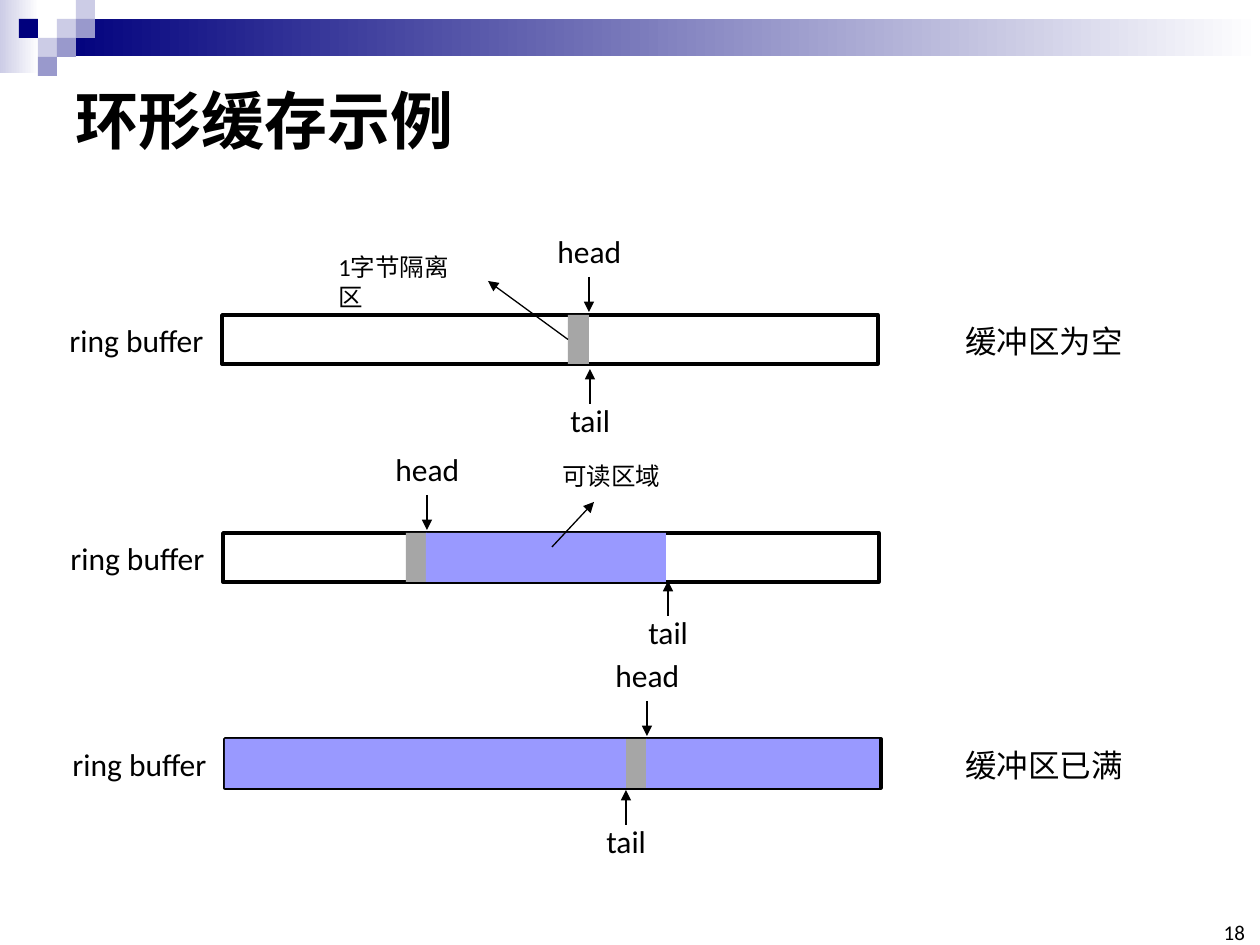
from dataclasses import dataclass

from lxml import etree
from pptx import Presentation
from pptx.dml.color import RGBColor
from pptx.enum.shapes import MSO_CONNECTOR, MSO_SHAPE
from pptx.enum.text import MSO_ANCHOR, MSO_AUTO_SIZE, PP_ALIGN
from pptx.oxml.ns import qn
from pptx.util import Emu, Pt

RECT = MSO_SHAPE.RECTANGLE
STRAIGHT = MSO_CONNECTOR.STRAIGHT
MIDDLE, BOTTOM = MSO_ANCHOR.MIDDLE, MSO_ANCHOR.BOTTOM
LEFT, RIGHT = PP_ALIGN.LEFT, PP_ALIGN.RIGHT
NO_FIT = MSO_AUTO_SIZE.NONE
TITLE_ONLY = 5
PX = 914400 / 126


@dataclass(frozen=True)
class Theme:
    """Colours, font and sizes of the slide."""
    font: str = "Calibri"
    ink: str = "000000"
    white: str = "FFFFFF"
    navy: str = "00007D"
    pale: str = "CCCCE6"
    mid: str = "9999CC"
    guard: str = "A6A6A6"
    readable: str = "9999FF"
    title: int = 36
    label: int = 18
    note: int = 14
    number: int = 12
    outline: float = 2
    arrow: float = 0.75


@dataclass(frozen=True)
class Ring:
    """State of one ring buffer, in px."""
    left: int
    top: int
    guard: int
    tail: int
    tail_gap: int
    readable: tuple = ()
    status: str = ""


T = Theme()
GRID = 19
BAR_W, BAR_H, GUARD_W = 656, 49, 21
ARROW_LEN = 35
RINGS = (
    Ring(222, 315, 568, 590, 54, status="缓冲区为空"),
    Ring(223, 533, 406, 668, 48, ((426, 240),)),
    Ring(225, 739, 626, 626, 51, ((646, 233), (225, 401)), "缓冲区已满"),
)
TILES = (
    (3, 1, T.pale), (4, 0, T.pale), (4, 1, T.mid), (2, 2, T.pale),
    (1, 1, T.navy), (3, 2, T.mid), (2, 3, T.mid),
)


def px(*values):
    """Turn px lengths into EMU."""
    return [Emu(round(v * PX)) for v in values]


def add_run(p, text, size, bold=False):
    """Add one formatted run to a paragraph."""
    r = p.add_run()
    r.text = text
    r.font.name = T.font
    r.font.size = Pt(size)
    r.font.bold = bold
    r.font.color.rgb = RGBColor.from_string(T.ink)


def add_rect(s, box, fill=None, fade=None, line=None):
    """Add a rectangle that is plain, faded to the right, or outlined."""
    sp = s.shapes.add_shape(RECT, *px(*box))
    sp.shadow.inherit = False
    if fade:
        sp.fill.gradient()
        sp.fill.gradient_angle = 0
        for stop, color in zip(sp.fill.gradient_stops, (fill, fade)):
            stop.color.rgb = RGBColor.from_string(color)
    elif fill:
        sp.fill.solid()
        sp.fill.fore_color.rgb = RGBColor.from_string(fill)
    else:
        sp.fill.background()
    if line:
        sp.line.color.rgb = RGBColor.from_string(T.ink)
        sp.line.width = Pt(line)
    else:
        sp.line.fill.background()
    return sp


def add_label(s, box, text, size=T.label, wrap=False):
    """Add a text box with one run."""
    tf = s.shapes.add_textbox(*px(*box)).text_frame
    tf.word_wrap = wrap
    add_run(tf.paragraphs[0], text, size)
    return tf


def add_arrow(s, start, end):
    """Add a thin arrow pointing at its end."""
    c = s.shapes.add_connector(STRAIGHT, *px(*start, *end))
    c.line.color.rgb = RGBColor.from_string(T.ink)
    c.line.width = Pt(T.arrow)
    etree.SubElement(c.line._get_or_add_ln(), qn("a:tailEnd"), type="triangle")
    etree.SubElement(c._element.spPr, qn("a:effectLst"))
    return c


def add_banner(s):
    """Add the faded band and the tiles at the top."""
    add_rect(s, (0, 0, 39, 73), T.pale, T.white)
    add_rect(s, (57, 19, 1203, 37), T.navy, T.white)
    for col, row, color in TILES:
        add_rect(s, (col * GRID, row * GRID, GRID, GRID), color)


def add_title(s, text):
    """Place and format the title placeholder."""
    sp = s.shapes.title
    sp.left, sp.top, sp.width, sp.height = px(63, 63, 1134, 112)
    tf = sp.text_frame
    tf.auto_size = NO_FIT
    tf.vertical_anchor = MIDDLE
    p = tf.paragraphs[0]
    p.alignment = LEFT
    add_run(p, text, T.title, bold=True)


def add_number(s, text):
    """Add the slide number at the lower right."""
    tf = add_label(s, (1216, 924, 29, 21), text, T.number)
    tf.margin_left = tf.margin_right = tf.margin_top = tf.margin_bottom = 0
    tf.vertical_anchor = BOTTOM
    tf.paragraphs[0].alignment = RIGHT


def add_ring(s, ring):
    """Add one buffer with its pointers and return its guard cell."""
    top, head = ring.top, ring.guard + GUARD_W
    tail_tip = top + ring.tail_gap
    tail_end = tail_tip + ARROW_LEN
    add_rect(s, (ring.left, top, BAR_W, BAR_H), line=T.outline)
    add_label(s, (ring.left - 165, top, 160, 50), "ring buffer")
    add_arrow(s, (ring.tail, tail_end), (ring.tail, tail_tip))
    add_arrow(s, (head, top - 3 - ARROW_LEN), (head, top - 3))
    add_label(s, (ring.tail - 32, tail_end - 9, 66, 50), "tail")
    add_label(s, (head - 44, top - 89, 89, 50), "head")
    guard = add_rect(s, (ring.guard, top, GUARD_W, BAR_H), T.guard)
    for left, width in ring.readable:
        add_rect(s, (left, top, width, BAR_H), T.readable)
    if ring.status:
        add_label(s, (953, top + 1, 190, 50), ring.status)
    return guard


def main():
    """Build the slide and save it."""
    prs = Presentation()
    prs.slide_width, prs.slide_height = px(1260, 945)
    s = prs.slides.add_slide(prs.slide_layouts[TITLE_ONLY])
    add_banner(s)
    add_title(s, "环形缓存示例")
    add_number(s, "18")
    guards = [add_ring(s, ring) for ring in RINGS]
    add_arrow(s, (568, 339), (488, 281)).begin_connect(guards[0], 1)
    add_label(s, (326, 246, 160, 43), "1字节隔离区", T.note, wrap=True)
    add_arrow(s, (552, 547), (594, 502))
    add_label(s, (550, 455, 136, 43), "可读区域", T.note)
    prs.save("out.pptx")


if __name__ == "__main__":
    main()
